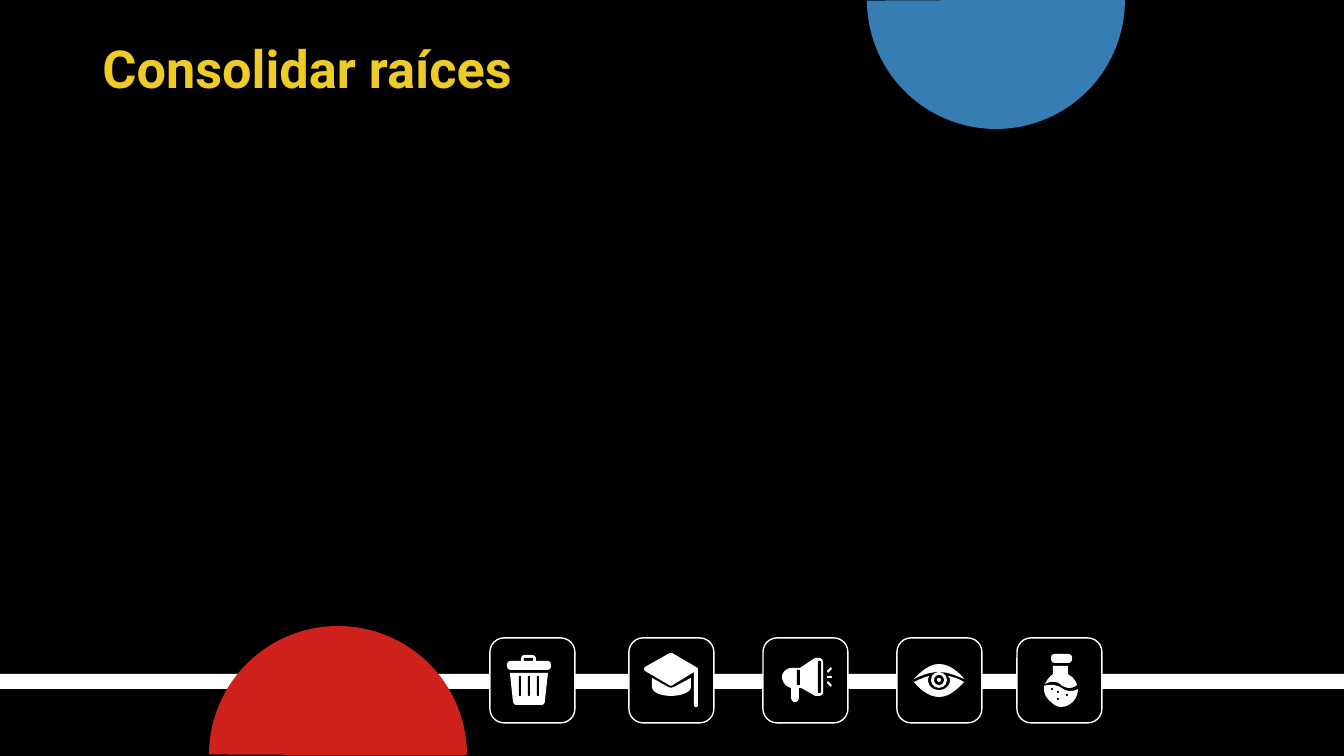
import pptx
import pptx.dml.color
import pptx.enum.shapes
import pptx.enum.text
import pptx.util

PX = 914400 / 134.4
COLORS = {"black": "000000", "white": "FFFFFF", "blue": "357DB2",
          "red": "D0221C", "yellow": "EFCB27"}
KIND = pptx.enum.shapes.MSO_SHAPE
RECT, ROUND, OVAL = KIND.RECTANGLE, KIND.ROUNDED_RECTANGLE, KIND.OVAL

# Outlines in px from the tile's corner: two numbers are a line's end,
# six numbers are a cubic curve's two controls and end.
TRASH_BODY = [(20, 35), (23, 63), (23.5, 66, 25, 67, 27, 67), (51, 67),
              (53, 67, 55, 66, 55, 63), (58, 35)]
CAP_BASE = [(23, 40), (23, 49), (23, 55, 33, 58, 42, 58), (51, 58, 62, 55, 62, 49),
            (62, 40), (45, 49), (43, 50, 41, 50, 39, 49)]
CAP_BOARD = [(40, 15.5), (41, 15, 43, 15, 44, 15.5), (67, 29), (68, 30, 69, 30, 69, 31),
             (69, 67), (69, 70, 65, 70, 65, 67), (65, 34), (44, 47),
             (43, 48, 41, 48, 40, 47), (16, 33), (15, 32, 15, 30, 16, 29)]
HORN = [(52, 20), (37, 30), (29, 30), (24, 30, 19, 34, 19, 39),
        (19, 44, 23, 49, 28, 50), (28, 59), (28, 66, 36, 66, 36, 59), (36, 50),
        (38, 50), (52, 58), (56, 58), (58, 58, 60, 57, 60, 54), (60, 24),
        (60, 22, 58, 20, 56, 20)]
RAY_UP = [(64, 33), (68, 29), (69, 31), (65, 35)]
RAY_DOWN = [(64, 45), (65, 43), (69, 47), (68, 49)]
UPPER_LID = [(42, 26), (30, 26, 19, 39, 17, 41), (23, 38, 32, 34, 42, 34),
             (51, 34, 60, 38, 67, 41), (66, 39, 55, 26, 42, 26)]
LOWER_LID = [(32, 38), (28, 39, 23, 41, 17, 44), (20, 48, 30, 59, 42, 59),
             (54, 59, 63, 48, 67, 44), (62, 41, 57, 39, 51, 38),
             (52, 39, 53, 40, 53, 42), (53, 48, 48, 52, 42, 52),
             (36, 52, 31, 48, 31, 42), (31, 40, 32, 39, 32, 38)]
FLASK_NECK = [(36, 28), (36, 35), (36, 36, 36, 36, 35, 37), (32, 39, 30, 42, 28, 46),
              (31, 45, 32, 44, 35, 44), (38, 44, 42, 44, 44, 47),
              (47, 49, 50, 50, 52, 50), (55, 50, 58, 49, 60, 47),
              (59, 43, 56, 39, 52, 37), (51, 36, 51, 36, 51, 35), (51, 28)]
FLASK_LIQUID = [(35, 47), (32, 47, 30, 47, 27, 48), (27, 50, 27, 51, 27, 51),
                (27, 56, 30, 61, 34, 64), (37, 67, 40, 69, 44, 69),
                (53, 69, 61, 61, 61, 51), (58, 53, 55, 53, 52, 53),
                (49, 53, 46, 51, 43, 49), (40, 48, 38, 47, 35, 47)]

# Each part: preset kind (None for an outline), colour, box or outline.
TRASH = [(ROUND, "white", (31, 17, 15, 9)), (RECT, "black", (34, 20, 9, 3)),
         (ROUND, "white", (17, 23, 44, 9)), (None, "white", TRASH_BODY),
         *((ROUND, "black", (x, 38, 2, 20)) for x in (29, 38, 47))]
CAP = [(None, "white", CAP_BASE), (None, "white", CAP_BOARD)]
MEGAPHONE = [(None, "white", HORN), (RECT, "black", (34, 32, 3, 15)),
             (ROUND, "black", (55, 23, 3, 32)), (ROUND, "white", (64, 38, 5, 2)),
             (None, "white", RAY_UP), (None, "white", RAY_DOWN)]
EYE = [(None, "white", UPPER_LID), (None, "white", LOWER_LID),
       (OVAL, "white", (34, 34, 16, 16)), (OVAL, "black", (37, 37, 10, 10)),
       (OVAL, "white", (40, 40, 4, 4))]
FLASK = [(ROUND, "white", (34, 16, 21, 9)), (None, "white", FLASK_NECK),
         (None, "white", FLASK_LIQUID),
         *((OVAL, "black", (x, y, 2, 2)) for x, y in ((34, 50), (40, 53), (49, 56), (40, 60)))]


def emu(px):
    return round(px * PX)


def rgb(name):
    return pptx.dml.color.RGBColor.from_string(COLORS[name])


def paint(shape, fill, line=None):
    shape.shadow.inherit = False
    shape.fill.solid()
    shape.fill.fore_color.rgb = rgb(fill)
    if line:
        shape.line.color.rgb = rgb(line)
        shape.line.width = pptx.util.Pt(0.75)
    else:
        shape.line.fill.background()
    return shape


def add_preset(shapes, kind, box, fill, line=None):
    return paint(shapes.add_shape(kind, *map(emu, box)), fill, line)


def flatten(outline, steps=8):
    """Turn lines and cubic curves into a list of points."""
    points = [outline[0]]
    for segment in outline[1:]:
        if len(segment) == 2:
            points.append(segment)
            continue
        x0, y0 = points[-1]
        x1, y1, x2, y2, x3, y3 = segment
        for step in range(1, steps + 1):
            t = step / steps
            u = 1 - t
            weights = (u ** 3, 3 * u * u * t, 3 * u * t * t, t ** 3)
            points.append(tuple(sum(w * c for w, c in zip(weights, axis))
                                for axis in ((x0, x1, x2, x3), (y0, y1, y2, y3))))
    return points


def add_outline(shapes, left, top, outline, fill):
    start, *others = [(emu(left + x), emu(top + y)) for x, y in flatten(outline)]
    builder = shapes.build_freeform(*start)
    builder.add_line_segments(others, close=True)
    paint(builder.convert_to_shape(), fill)


def add_icon_tile(slide, box, parts):
    left, top = box[:2]
    add_preset(slide.shapes, ROUND, box, "black", "white")
    icon = slide.shapes.add_group_shape().shapes
    for kind, color, geometry in parts:
        if kind is None:
            add_outline(icon, left, top, geometry, color)
        else:
            x, y, width, height = geometry
            part = add_preset(icon, kind, (left + x, top + y, width, height), color)
            if kind == ROUND:
                part.adjustments[0] = 0.4


def add_half_disc(slide, box, color, upper=False):
    disc = add_preset(slide.shapes, KIND.PIE, box, color)
    disc.adjustments[0] = 0
    disc.adjustments[1] = 107.84
    if upper:
        disc.rotation = 180
        disc.element.spPr.xfrm.set("flipH", "1")


def add_title(slide, box, text):
    title = slide.shapes.title
    title.left, title.top, title.width, title.height = map(emu, box)
    frame = title.text_frame
    frame.text = text
    margin = pptx.util.Inches(0.1)
    frame_format = {"margin_left": margin, "margin_right": margin, "margin_top": margin,
                    "margin_bottom": margin, "word_wrap": True,
                    "auto_size": pptx.enum.text.MSO_AUTO_SIZE.NONE,
                    "vertical_anchor": pptx.enum.text.MSO_ANCHOR.MIDDLE}
    for key, value in frame_format.items():
        setattr(frame, key, value)
    paragraph = frame.paragraphs[0]
    paragraph.alignment = pptx.enum.text.PP_ALIGN.LEFT
    font = paragraph.runs[0].font
    for key, value in {"name": "Roboto", "size": pptx.util.Pt(28), "bold": True}.items():
        setattr(font, key, value)
    font.color.rgb = rgb("yellow")


def main():
    deck = pptx.Presentation()
    deck.slide_width, deck.slide_height = emu(1344), emu(756)
    slide = deck.slides.add_slide(deck.slide_layouts[5])
    slide.background.fill.solid()
    slide.background.fill.fore_color.rgb = rgb("black")

    add_preset(slide.shapes, RECT, (-10, 674, 1361, 15), "white")
    add_half_disc(slide, (867, -129, 258, 258), "blue")
    add_half_disc(slide, (209, 626, 258, 258), "red", upper=True)
    add_title(slide, (89, -3, 956, 141), "Consolidar raíces")
    tiles = {490: TRASH, 629: CAP, 763: MEGAPHONE, 897: EYE, 1017: FLASK}
    for left, parts in tiles.items():
        add_icon_tile(slide, (left, 638, 85, 85), parts)
    deck.save("out.pptx")


if __name__ == "__main__":
    main()
